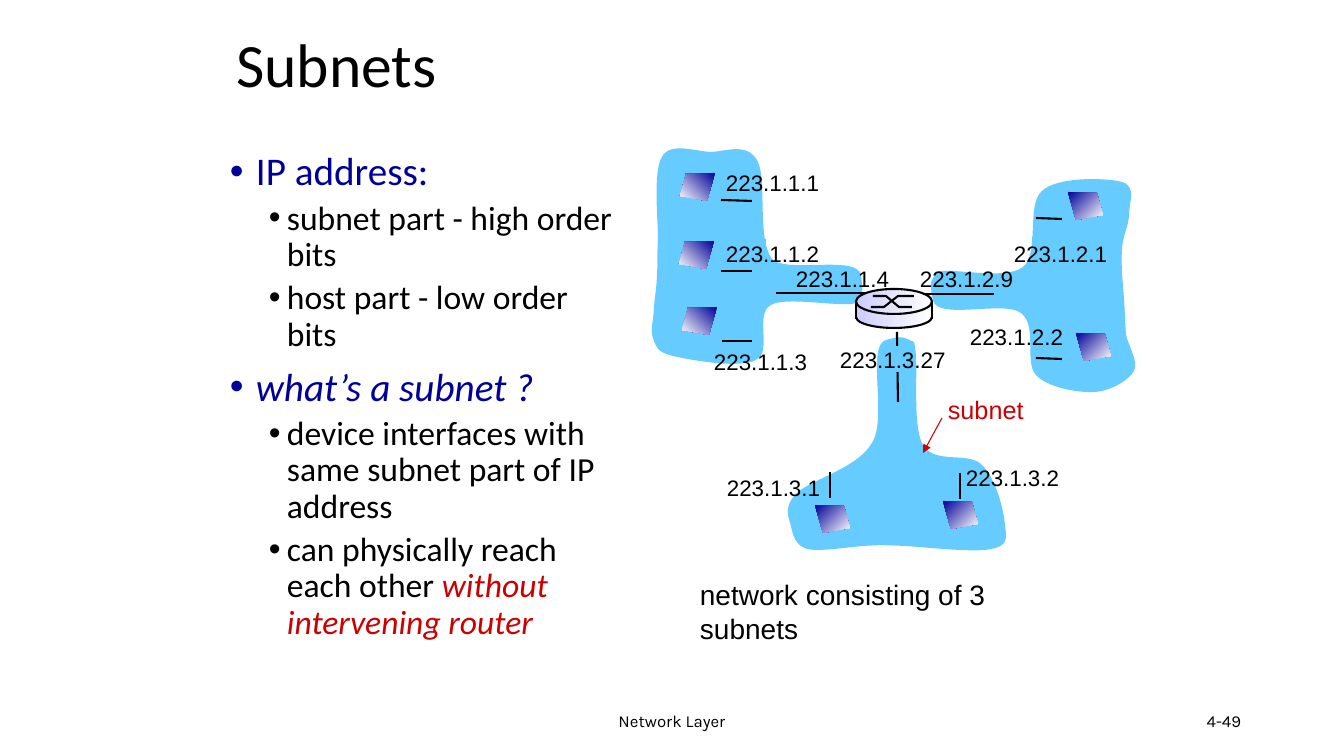
"""Build the Subnets slide: bullet text beside a three-subnet network diagram."""
from lxml import etree
from pptx import Presentation
from pptx.dml.color import RGBColor
from pptx.enum.shapes import MSO_CONNECTOR, MSO_SHAPE
from pptx.enum.text import MSO_ANCHOR, MSO_AUTO_SIZE, PP_ALIGN
from pptx.oxml.ns import qn
from pptx.util import Pt

PX = 914400 / 100.8
COLORS = {"black": "000000", "navy": "000099", "red": "CC0000",
          "sky": "66CCFF", "lilac": "CCCCFF", "white": "FFFFFF"}
LEFT, CENTER, RIGHT = PP_ALIGN.LEFT, PP_ALIGN.CENTER, PP_ALIGN.RIGHT
TOP, MIDDLE = MSO_ANCHOR.TOP, MSO_ANCHOR.MIDDLE
STRAIGHT = MSO_CONNECTOR.STRAIGHT
OVAL, RECTANGLE = MSO_SHAPE.OVAL, MSO_SHAPE.RECTANGLE


def write(paragraph, text, size=16, font="Arial", color="black", italic=False):
    run = paragraph.add_run()
    run.text = text
    run.font.size = Pt(size)
    run.font.name = font
    run.font.italic = italic
    run.font.color.rgb = RGBColor.from_string(COLORS[color])


def paint(shape, fill=None, angle=None, outlined=False):
    shape.shadow.inherit = False
    if fill is None:
        shape.fill.background()
    elif angle is None:
        shape.fill.solid()
        shape.fill.fore_color.rgb = RGBColor.from_string(COLORS[fill])
    else:
        shape.fill.gradient()
        shape.fill.gradient_angle = angle
        for stop, name in zip(shape.fill.gradient_stops, (fill, "white")):
            stop.color.rgb = RGBColor.from_string(COLORS[name])
    if outlined:
        shape.line.color.rgb = RGBColor.from_string(COLORS["black"])
        shape.line.width = Pt(1.5)
    else:
        shape.line.fill.background()


deck = Presentation()
deck.slide_width, deck.slide_height = round(1344 * PX), round(756 * PX)
slide = deck.slides.add_slide(deck.slide_layouts[5])
shapes = slide.shapes

title = shapes.title
title.left, title.top, title.width, title.height = (
    round(n * PX) for n in (226, 25, 408, 85))
title.text_frame.auto_size = MSO_AUTO_SIZE.NONE
title.text_frame.vertical_anchor = MIDDLE
heading = title.text_frame.paragraphs[0]
heading.alignment = LEFT
heading.line_spacing = 0.9
write(heading, "Subnets", size=44, font="Calibri")

points = [
    (0, [("IP address:", "navy", False)]),
    (1, [("subnet part - high order bits", "black", False)]),
    (1, [("host part - low order bits", "black", False)]),
    (0, [("what’s a subnet ?", "navy", True)]),
    (1, [("device interfaces with same subnet part of IP address", "black", False)]),
    (1, [("can physically reach each other ", "black", False),
         ("without intervening router", "red", True)]),
]
level_formats = [(26, -26, 10, 28), (57, -18, 5, 24)]
body = shapes.add_textbox(*(round(n * PX) for n in (220, 147, 408, 512))).text_frame
body.word_wrap = True
for index, (level, runs) in enumerate(points):
    margin, indent, space, size = level_formats[level]
    point = body.add_paragraph() if index else body.paragraphs[0]
    point.level = level
    point.line_spacing = 0.9
    if index:
        point.space_before = Pt(space)
    properties = point._p.get_or_add_pPr()
    properties.set("marL", str(round(margin * PX)))
    properties.set("indent", str(round(indent * PX)))
    etree.SubElement(properties, qn("a:buFont"), typeface="Arial")
    etree.SubElement(properties, qn("a:buChar"), char="•")
    for text, color, italic in runs:
        write(point, text, size=size, font="Calibri", color=color, italic=italic)

subnet_outlines = [
    ((861, 275), [
        (857, 255), (790, 273), (773, 260), (756, 241), (768, 178), (757, 160),
        (746, 142), (725, 152), (710, 152), (694, 151), (670, 142), (662, 157),
        (653, 171), (658, 219), (658, 238), (657, 257), (658, 262), (657, 274),
        (657, 285), (655, 296), (654, 307), (654, 318), (650, 330), (653, 338),
        (656, 346), (656, 352), (673, 356), (690, 360), (740, 369), (756, 360),
        (773, 352), (754, 314), (771, 305), (787, 296), (842, 308), (857, 303),
        (862, 293), (864, 295), (861, 275)]),
    ((933, 300), [
        (937, 321), (1004, 300), (1021, 313), (1038, 326), (1024, 362), (1036, 375),
        (1048, 388), (1079, 393), (1095, 392), (1111, 391), (1129, 380), (1134, 371),
        (1139, 361), (1128, 346), (1126, 334), (1125, 322), (1125, 311), (1124, 298),
        (1123, 284), (1121, 265), (1122, 251), (1122, 237), (1129, 226), (1129, 215),
        (1129, 204), (1137, 186), (1122, 182), (1108, 178), (1058, 176), (1042, 191),
        (1026, 205), (1040, 254), (1023, 267), (1005, 281), (952, 267), (937, 272),
        (931, 282), (929, 280), (933, 300)]),
    ((886, 340), [
        (866, 346), (888, 418), (872, 443), (857, 469), (809, 480), (796, 494),
        (783, 508), (789, 517), (791, 526), (793, 535), (795, 545), (807, 549),
        (820, 552), (848, 547), (864, 546), (880, 545), (883, 545), (904, 546),
        (925, 547), (975, 553), (991, 549), (1008, 546), (1007, 539), (1005, 525),
        (1004, 511), (996, 478), (982, 465), (969, 451), (935, 465), (923, 445),
        (911, 424), (920, 360), (914, 342), (904, 338), (905, 335), (886, 340)]),
]
for start, controls in subnet_outlines:
    builder = shapes.build_freeform(*start, scale=PX)
    builder.add_line_segments(controls)
    subnet = builder.convert_to_shape()
    paint(subnet, "sky")
    segments = list(subnet._element.iter(qn("a:lnTo")))
    for first in range(0, len(segments), 3):
        curve = etree.Element(qn("a:cubicBezTo"))
        segments[first].addprevious(curve)
        for segment in segments[first:first + 3]:
            curve.append(segment[0])
            segment.getparent().remove(segment)

host_corners = [(0, 0), (29, 1), (35, 23), (8, 28)]
hosts = [(680, 173, True), (679, 241, True), (682, 307, True), (1068, 192, False),
         (1076, 333, False), (943, 501, False), (815, 505, False)]
for left, top, mirrored in hosts:
    corners = [(left + (35 - x if mirrored else x), top + y) for x, y in host_corners]
    builder = shapes.build_freeform(*corners[0], scale=PX)
    builder.add_line_segments(corners[1:])
    paint(builder.convert_to_shape(), "navy", angle=225 if mirrored else 315)

router_parts = [(OVAL, 306, 22, True), (RECTANGLE, 304, 13, False), (OVAL, 289, 25, True)]
for kind, top, height, outlined in router_parts:
    part = shapes.add_shape(kind, *(round(n * PX) for n in (856, top, 76, height)))
    paint(part, "lilac", angle=0, outlined=outlined)
router_cross = [[(871, 307), (884, 307), (898, 296), (914, 296)],
                [(873, 296), (886, 296), (899, 307), (912, 307)]]
for strand in router_cross:
    builder = shapes.build_freeform(*strand[0], scale=PX)
    builder.add_line_segments(strand[1:], close=False)
    paint(builder.convert_to_shape(), outlined=True)

links = [
    (721, 200, 752, 201), (721, 271, 752, 271), (722, 341, 752, 341),
    (776, 293, 867, 293), (923, 294, 994, 294), (1036, 218, 1062, 219),
    (1036, 358, 1062, 359), (897, 332, 898, 402), (830, 498, 830, 472),
    (960, 499, 960, 473), (856, 301, 856, 319), (932, 302, 932, 319),
]
subnet_arrow = (942, 418, 923, 453)
for ends in links + [subnet_arrow]:
    link = shapes.add_connector(STRAIGHT, *(round(n * PX) for n in ends))
    pointing = ends == subnet_arrow
    link.line.color.rgb = RGBColor.from_string(COLORS["red" if pointing else "black"])
    link.line.width = Pt(0.75 if pointing else 1.5)
    if pointing:
        etree.SubElement(link.line._get_or_add_ln(), qn("a:tailEnd"), type="triangle")
    etree.SubElement(link._element.spPr, qn("a:effectLst"))

for left, top in [(734, 239), (1032, 237), (1031, 326), (882, 346)]:
    backing = shapes.add_shape(RECTANGLE, *(round(n * PX) for n in (left, top, 32, 26)))
    paint(backing, "sky")

addresses = [
    ("223.1.1.1", 716, 164), ("223.1.1.2", 716, 235), ("223.1.1.3", 704, 343),
    ("223.1.1.4", 786, 260), ("223.1.2.9", 910, 260), ("223.1.2.1", 1004, 235),
    ("223.1.2.2", 960, 318), ("223.1.3.27", 830, 341), ("223.1.3.1", 717, 469),
    ("223.1.3.2", 956, 459),
]
captions = [(text, (left, top, 126 if len(text) > 9 else 114, 37), LEFT, TOP, False, {})
            for text, left, top in addresses]
captions += [
    ("subnet", (938, 389, 96, 40), LEFT, TOP, False, {"size": 18, "color": "red"}),
    ("network consisting of 3 subnets", (690, 573, 320, 43), LEFT, TOP, True, {"size": 20}),
    ("Network Layer", (445, 701, 454, 40), CENTER, MIDDLE, True, {"size": 12, "font": "Karla"}),
    ("4-49", (949, 701, 302, 40), RIGHT, MIDDLE, True, {"size": 12, "font": "Karla"}),
]
for text, place, alignment, anchor, wrap, style in captions:
    frame = shapes.add_textbox(*(round(n * PX) for n in place)).text_frame
    frame.word_wrap = wrap
    frame.vertical_anchor = anchor
    frame.paragraphs[0].alignment = alignment
    write(frame.paragraphs[0], text, **style)

deck.save("out.pptx")
